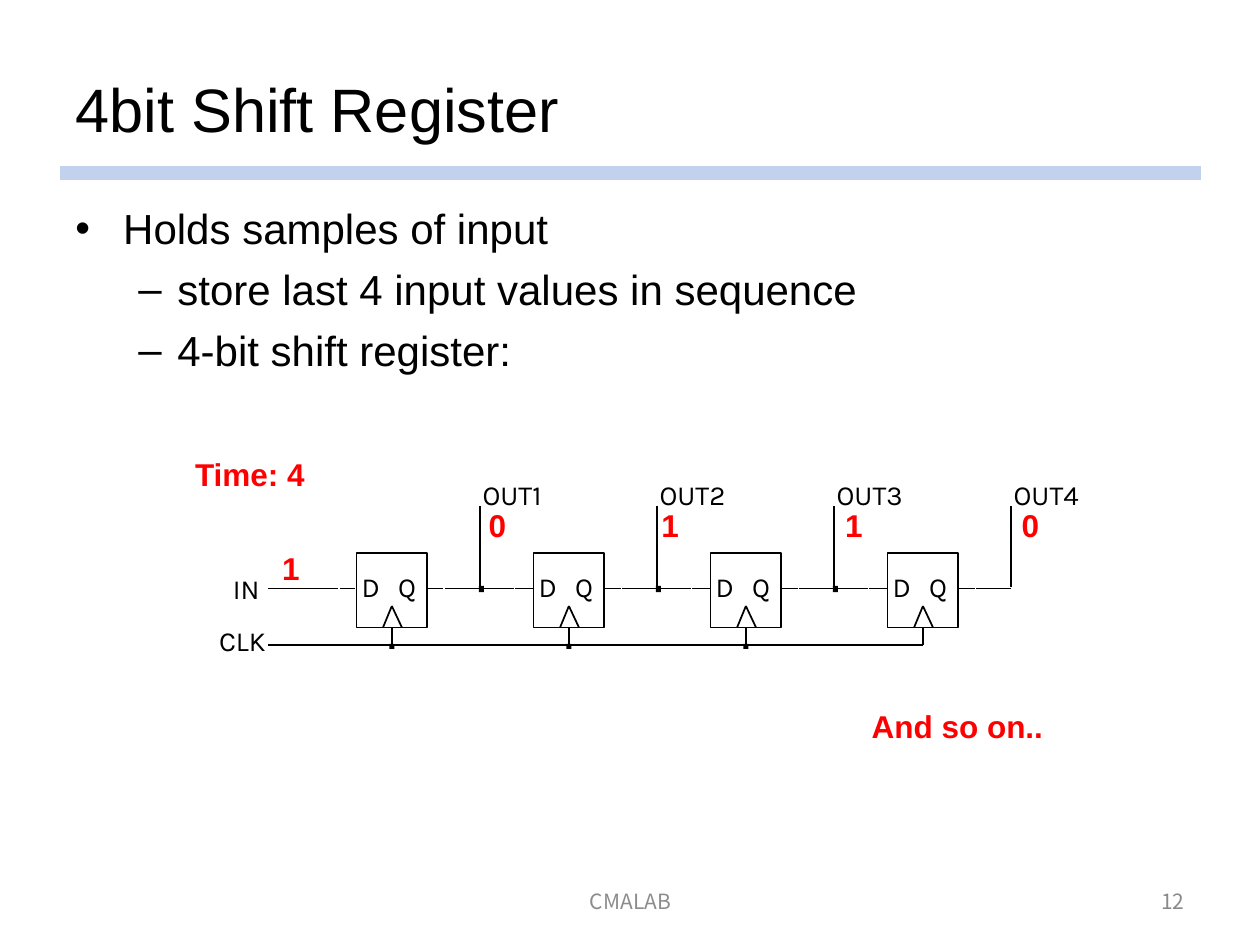
from dataclasses import dataclass

from lxml import etree
from pptx import Presentation
from pptx.dml.color import RGBColor
from pptx.enum.shapes import MSO_CONNECTOR, MSO_SHAPE
from pptx.enum.text import MSO_ANCHOR, MSO_AUTO_SIZE, PP_ALIGN
from pptx.oxml.ns import qn
from pptx.util import Inches, Pt

LEFT, CENTER, RIGHT = PP_ALIGN.LEFT, PP_ALIGN.CENTER, PP_ALIGN.RIGHT
TOP, MIDDLE = MSO_ANCHOR.TOP, MSO_ANCHOR.MIDDLE
RECT = MSO_SHAPE.RECTANGLE
STRAIGHT = MSO_CONNECTOR.STRAIGHT
NO_FIT = MSO_AUTO_SIZE.NONE

BLACK, WHITE, RED = "000000", "FFFFFF", "FF0000"
STAGES = 4
STAGE_X, PITCH = 2.83, 1.405
BOX_Y, BOX_W, BOX_H = 4.39, 0.56, 0.59
BOX_BOTTOM = BOX_Y + BOX_H
DATA_Y, CLK_Y, OUT_Y = 4.67, 5.12, 4.02
WIRE_X = 2.13
TAP, CLK = 0.98, 0.28


@dataclass
class Style:
    font: str
    size: float
    color: str
    bold: bool = False
    align: PP_ALIGN = LEFT
    anchor: MSO_ANCHOR = TOP
    wrap: bool = True
    spacing: float | None = None
    inset_x: float = 0.1
    inset_y: float = 0.05


@dataclass
class Label:
    text: str
    x: float
    y: float
    w: float
    h: float
    style: Style


@dataclass
class Bullet:
    text: str
    level: int
    char: str
    margin: float
    hang: float


PIN = Style("Karla", 15.8, BLACK, wrap=False, spacing=16.8, inset_x=0.02, inset_y=0.03)
INPUT = Style("Karla", 15.8, BLACK, align=RIGHT, wrap=False, spacing=16.8,
              inset_x=0.02, inset_y=0.03)
VALUE = Style("Arial", 18, RED, bold=True)
FOOTER = Style("Noto Sans CJK KR", 12, "8C8C8C", align=CENTER, anchor=MIDDLE)
NUMBER = Style("Noto Sans CJK KR", 12, "898989", align=RIGHT, anchor=MIDDLE)
TITLE = Style("Arial", 35, BLACK, anchor=MIDDLE)
BODY = Style("Arial", 24, BLACK)

LABELS = [
    Label("IN", 1.5, 4.54, 0.58, 0.37, INPUT),
    Label("CLK", 1.58, 4.95, 0.55, 0.37, INPUT),
    Label("CMALAB", 3.42, 6.95, 3.17, 0.4, FOOTER),
    Label("12", 7.17, 6.95, 2.33, 0.4, NUMBER),
    Label("Time: 4", 1.45, 3.56, 1.16, 0.4, VALUE),
    Label("0", 3.78, 3.97, 0.4, 0.4, VALUE),
    Label("1", 5.15, 3.97, 0.4, 0.4, VALUE),
    Label("1", 6.61, 3.97, 0.4, 0.4, VALUE),
    Label("0", 8.01, 3.97, 0.4, 0.4, VALUE),
    Label("1", 2.14, 4.31, 0.4, 0.4, VALUE),
    Label("And so on..", 6.82, 5.56, 1.99, 0.4, VALUE),
]
BULLETS = [
    Bullet("Holds samples of input", 0, "•", 0.38, 0.38),
    Bullet("store last 4 input values in sequence", 1, "–", 0.81, 0.31),
    Bullet("4-bit shift register:", 1, "–", 0.81, 0.31),
]


def rgb(value: str) -> RGBColor:
    return RGBColor.from_string(value)


def format_frame(tf, style: Style) -> None:
    tf.auto_size = NO_FIT
    tf.word_wrap = style.wrap
    tf.vertical_anchor = style.anchor
    tf.margin_left = tf.margin_right = Inches(style.inset_x)
    tf.margin_top = tf.margin_bottom = Inches(style.inset_y)
    for p in tf.paragraphs:
        p.alignment = style.align
        if style.spacing:
            p.line_spacing = Pt(style.spacing)
        for r in p.runs:
            r.font.name = style.font
            r.font.size = Pt(style.size)
            r.font.bold = style.bold
            r.font.color.rgb = rgb(style.color)


def add_label(slide, label: Label) -> None:
    sp = slide.shapes.add_textbox(Inches(label.x), Inches(label.y),
                                  Inches(label.w), Inches(label.h))
    sp.text_frame.text = label.text
    format_frame(sp.text_frame, label.style)


def add_line(slide, x1: float, y1: float, x2: float, y2: float,
             color: str = BLACK, width: float = 1):
    line = slide.shapes.add_connector(STRAIGHT, Inches(x1), Inches(y1),
                                      Inches(x2), Inches(y2))
    line.line.color.rgb = rgb(color)
    line.line.width = Pt(width)
    etree.SubElement(line._element.spPr, qn("a:effectLst"))
    return line


def add_rect(slide, x: float, y: float, w: float, h: float,
             fill: str, outline: str | None = None):
    sp = slide.shapes.add_shape(RECT, Inches(x), Inches(y), Inches(w), Inches(h))
    sp.shadow.inherit = False
    sp.fill.solid()
    sp.fill.fore_color.rgb = rgb(fill)
    if outline:
        sp.line.color.rgb = rgb(outline)
        sp.line.width = Pt(1)
    else:
        sp.line.fill.background()
    return sp


def add_stage(slide, index: int) -> None:
    x = STAGE_X + index * PITCH
    tap, clk = x + TAP, x + CLK
    box = add_rect(slide, x, BOX_Y, BOX_W, BOX_H, WHITE, BLACK)
    for foot in (0.21, 0.36):
        add_line(slide, x + foot, BOX_BOTTOM, clk, 4.81)
    for pin, offset in (("D", 0.02), ("Q", 0.31)):
        add_label(slide, Label(pin, x + offset, 4.52, 0.27, 0.37, PIN))

    add_line(slide, x + BOX_W, DATA_Y, x + 0.69, DATA_Y)
    add_line(slide, x + 0.7, DATA_Y, tap, DATA_Y)
    add_line(slide, tap, OUT_Y, tap, 4.66)
    add_label(slide, Label(f"OUT{index + 1}", tap, 3.79, 0.77, 0.37, PIN))
    stub = add_line(slide, clk, BOX_BOTTOM, clk, CLK_Y)
    stub.begin_connect(box, 2)
    bus_start = WIRE_X if index == 0 else clk - PITCH
    add_line(slide, bus_start, CLK_Y, clk, CLK_Y)

    if index < STAGES - 1:
        add_line(slide, tap, DATA_Y, x + 1.25, DATA_Y)
        add_line(slide, x + 1.26, DATA_Y, x + PITCH, DATA_Y)
        add_rect(slide, tap - 0.01, 4.65, 0.04, 0.05, BLACK)
        add_rect(slide, clk - 0.02, 5.11, 0.04, 0.04, BLACK)


def add_bullets(slide, bullets: list[Bullet]) -> None:
    sp = slide.shapes.add_textbox(Inches(0.5), Inches(1.56), Inches(9), Inches(3.42))
    tf = sp.text_frame
    for i, bullet in enumerate(bullets):
        p = tf.add_paragraph() if i else tf.paragraphs[0]
        p.text = bullet.text
        p.level = bullet.level
        if i:
            p.space_before = Pt(6)
        pPr = p._p.get_or_add_pPr()
        pPr.set("marL", str(Inches(bullet.margin)))
        pPr.set("indent", str(-Inches(bullet.hang)))
        etree.SubElement(pPr, qn("a:buFont")).set("typeface", "Arial")
        etree.SubElement(pPr, qn("a:buChar")).set("char", bullet.char)
    format_frame(tf, BODY)


def main() -> None:
    prs = Presentation()
    prs.slide_width, prs.slide_height = Inches(10), Inches(7.5)
    slide = prs.slides.add_slide(prs.slide_layouts[5])
    title = slide.shapes.title
    title.left, title.top = Inches(0.5), Inches(0.3)
    title.width, title.height = Inches(9), Inches(1.11)
    title.text_frame.text = "4bit Shift Register"
    format_frame(title.text_frame, TITLE)
    add_line(slide, 0.48, 1.37, 9.53, 1.37, "C2D1ED", 8)
    add_bullets(slide, BULLETS)
    add_line(slide, WIRE_X, DATA_Y, 2.68, DATA_Y)
    add_line(slide, 2.7, DATA_Y, 2.82, DATA_Y)
    for index in range(STAGES):
        add_stage(slide, index)
    for label in LABELS:
        add_label(slide, label)
    prs.save("out.pptx")


if __name__ == "__main__":
    main()
